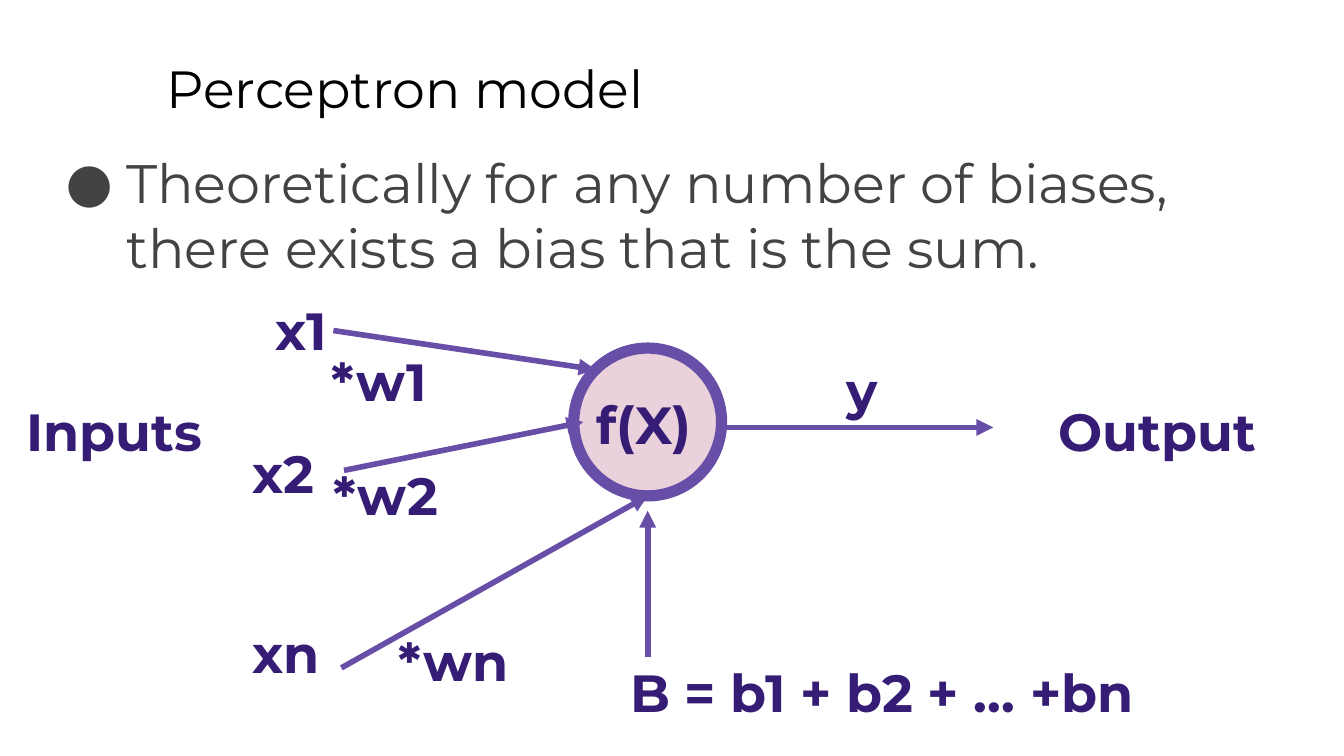
from lxml import etree
from pptx import Presentation
from pptx.dml.color import RGBColor
from pptx.enum import shapes, text
from pptx.oxml import ns
from pptx.util import Pt

COLORS = {"title": "000000", "body": "434343", "label": "351C75",
          "line": "674EA7", "neuron": "EAD1DC"}
FONT = "Montserrat"
LABEL_HEIGHT = 45.4

TITLE = ("Perceptron model", 82.1, 23, 613.4)
BODY = ("Theoretically for any number of biases, there exists a bias that is the sum.",
        24.5, 72.7, 684, 269.3)
NEURON = (307.4, 186.5, 79.2)
ARROWS = [
    ((178.6, 177.1), (319, 198)),
    ((184.3, 252), (312.5, 226.1)),
    ((386.6, 229), (532.1, 229)),
    ((182.9, 357.8), (347, 265.7)),
    ((347, 352.1), (347, 273.6)),
]
LABELS = [
    ("Inputs", 7.2, 206.6, 167.8),
    ("Output", 560.2, 206.6, 167.8),
    ("x1", 140.4, 152.6, 69.8),
    ("y", 446.4, 185, 69.8),
    ("f(X)", 312.5, 203, 69.8),
    ("x2", 128.2, 229, 69.8),
    ("*w1", 170.6, 180, 140.4),
    ("*w2", 171.4, 241.2, 140.4),
    ("xn", 128.2, 325.4, 69.8),
    ("*wn", 206.6, 329.8, 182.2),
    ("B = b1 + b2 + … +bn", 330.5, 346.3, 389.5),
]


def color(name):
    return RGBColor.from_string(COLORS[name])


def add_text(slide, words, left, top, width, height, size, color_name, bold=False):
    box = slide.shapes.add_textbox(Pt(left), Pt(top), Pt(width), Pt(height))
    frame = box.text_frame
    frame.word_wrap = True
    frame.vertical_anchor = text.MSO_ANCHOR.TOP
    frame.margin_left = frame.margin_right = Pt(7.2)
    frame.margin_top = frame.margin_bottom = Pt(7.2)
    frame.text = words
    paragraph = frame.paragraphs[0]
    font = paragraph.runs[0].font
    font.name, font.size, font.bold = FONT, Pt(size), bold
    font.color.rgb = color(color_name)
    return paragraph


def add_bullet(paragraph):
    properties = paragraph._p.get_or_add_pPr()
    properties.set("marL", str(Pt(36)))
    properties.set("indent", str(Pt(-32.4)))
    bullet_color = etree.SubElement(properties, ns.qn("a:buClr"))
    etree.SubElement(bullet_color, ns.qn("a:srgbClr"), val=COLORS["body"])
    etree.SubElement(properties, ns.qn("a:buFont"), typeface=FONT)
    etree.SubElement(properties, ns.qn("a:buChar"), char="●")


def add_neuron(slide, left, top, diameter):
    neuron = slide.shapes.add_shape(shapes.MSO_SHAPE.OVAL, Pt(left), Pt(top),
                                    Pt(diameter), Pt(diameter))
    neuron.shadow.inherit = False
    neuron.fill.solid()
    neuron.fill.fore_color.rgb = color("neuron")
    neuron.line.color.rgb = color("line")
    neuron.line.width = Pt(6)


def add_arrow(slide, start, end):
    arrow = slide.shapes.add_connector(shapes.MSO_CONNECTOR.STRAIGHT,
                                       *(Pt(value) for value in start + end))
    arrow.line.color.rgb = color("line")
    arrow.line.width = Pt(3)
    etree.SubElement(arrow.line._get_or_add_ln(), ns.qn("a:tailEnd"), type="triangle")
    etree.SubElement(arrow._element.spPr, ns.qn("a:effectLst"))


def main():
    presentation = Presentation()
    presentation.slide_width, presentation.slide_height = Pt(720), Pt(405)
    slide = presentation.slides.add_slide(presentation.slide_layouts[6])
    add_text(slide, *TITLE, LABEL_HEIGHT, 28, "title")
    add_bullet(add_text(slide, *BODY, 29, "body"))
    add_neuron(slide, *NEURON)
    for start, end in ARROWS:
        add_arrow(slide, start, end)
    for label in LABELS:
        add_text(slide, *label, LABEL_HEIGHT, 28, "label", bold=True)
    presentation.save("out.pptx")


if __name__ == "__main__":
    main()
